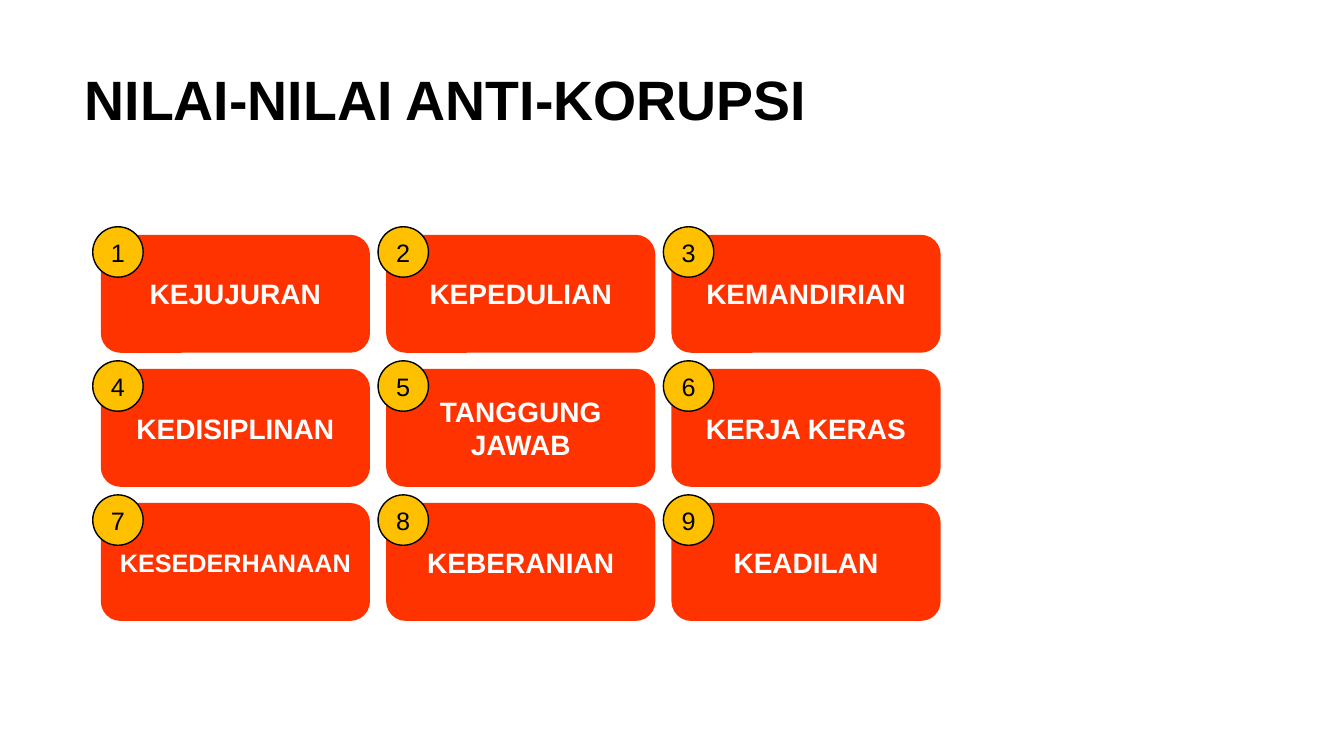
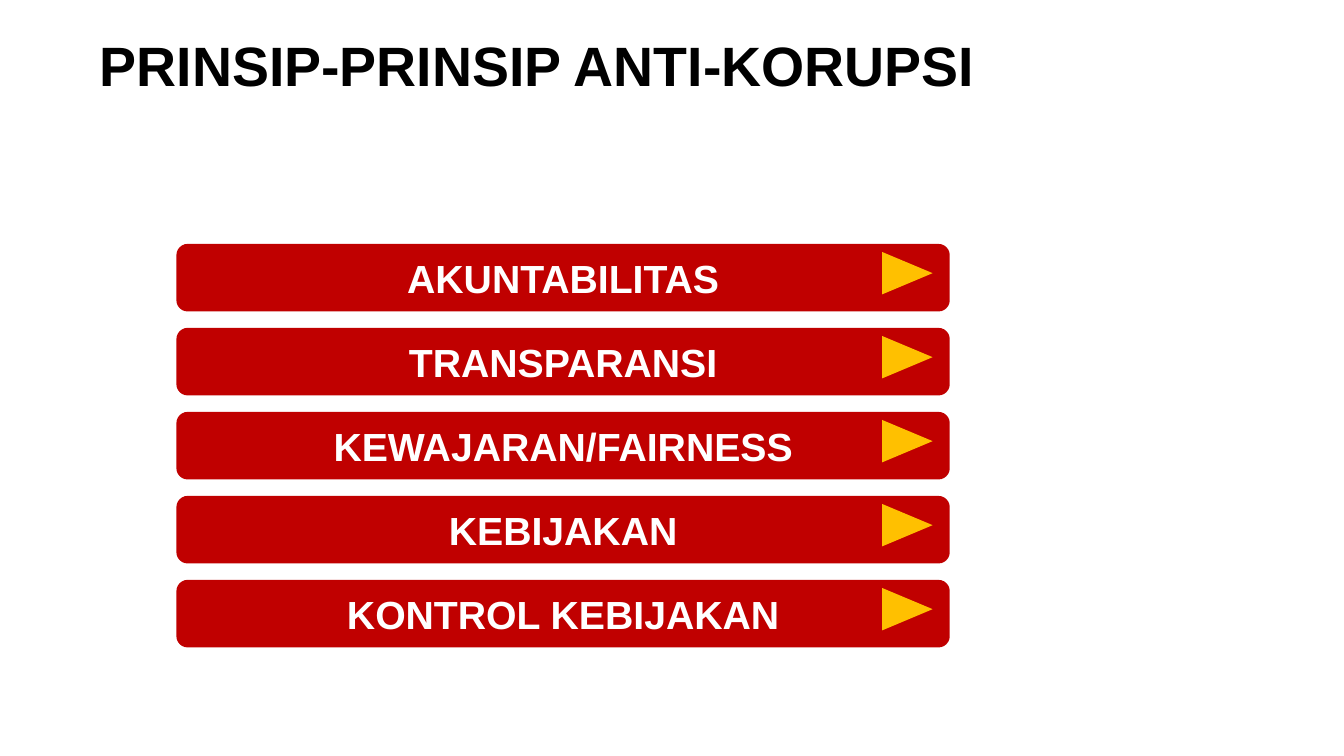
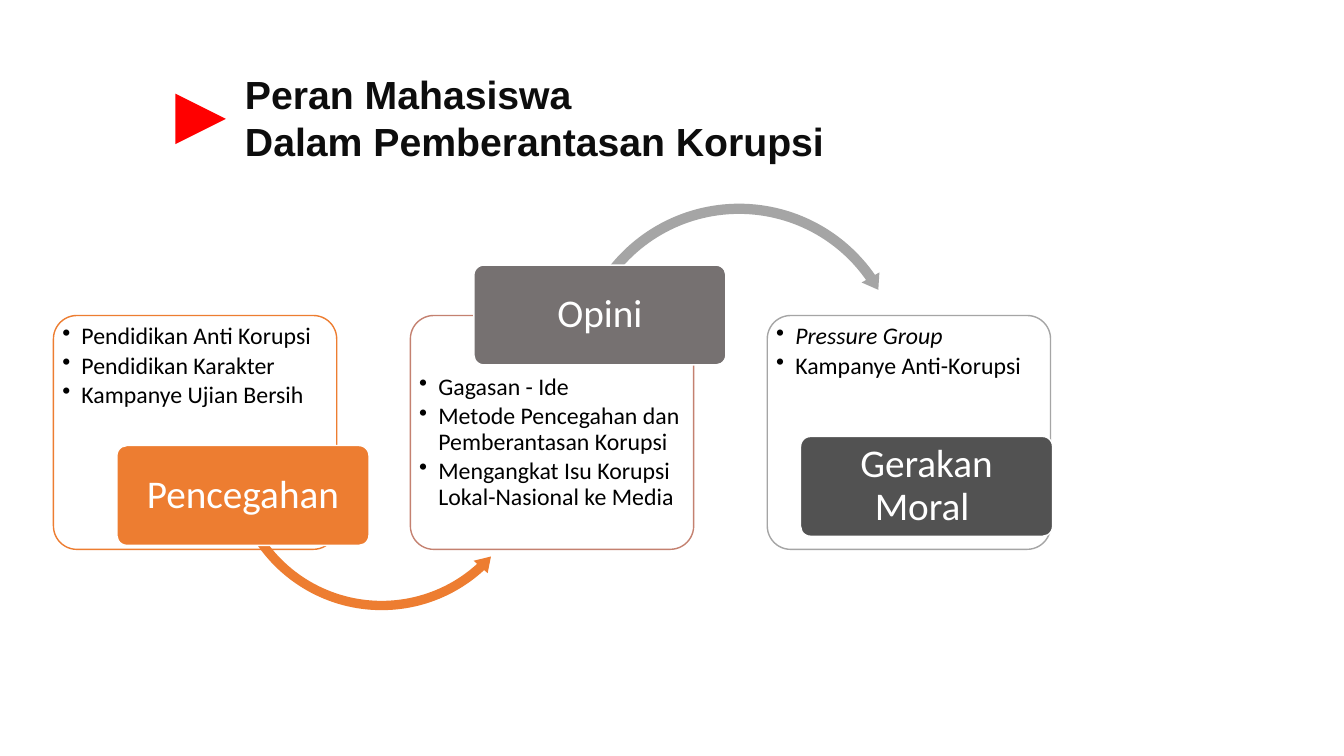
"""Build three slides on anti-corruption values, principles and student roles."""
from dataclasses import dataclass
from typing import Optional

from lxml.etree import SubElement
from pptx import Presentation
from pptx.dml.color import RGBColor
from pptx.enum.shapes import MSO_SHAPE
from pptx.enum.text import MSO_ANCHOR, MSO_AUTO_SIZE, PP_ALIGN
from pptx.oxml.ns import qn
from pptx.shapes.autoshape import Shape
from pptx.slide import Slide
from pptx.util import Inches, Pt

WHITE = RGBColor(0xFF, 0xFF, 0xFF)
BLACK = RGBColor(0x00, 0x00, 0x00)
INK = RGBColor(0x0D, 0x0D, 0x0D)
RED = RGBColor(0xFF, 0x00, 0x00)
SCARLET = RGBColor(0xFF, 0x33, 0x00)
CRIMSON = RGBColor(0xC0, 0x00, 0x00)
GOLD = RGBColor(0xFF, 0xC0, 0x00)
ORANGE = RGBColor(0xED, 0x7D, 0x31)
CLAY = RGBColor(0xC4, 0x81, 0x70)
SILVER = RGBColor(0xA5, 0xA5, 0xA5)
GRAY = RGBColor(0x76, 0x71, 0x71)
CHARCOAL = RGBColor(0x52, 0x52, 0x52)


@dataclass(frozen=True)
class Frame:
    left: float
    top: float
    width: float
    height: float


@dataclass(frozen=True)
class TextStyle:
    size: float
    color: RGBColor
    name: str = "Arial"
    bold: bool = False
    spacing: float = 1.0


@dataclass(frozen=True)
class Bullet:
    text: str
    italic: bool = False


@dataclass(frozen=True)
class Arrow:
    kind: MSO_SHAPE
    frame: Frame
    adjustments: tuple[float, ...]
    color: RGBColor


@dataclass(frozen=True)
class Role:
    name: str
    left: float
    border: RGBColor
    bullets: tuple[Bullet, ...]
    bullet_inset: float
    label_left: float
    label_top: float
    label_color: RGBColor
    arrow: Optional[Arrow] = None


TITLE = TextStyle(39.6, BLACK, bold=True, spacing=0.9)
ROLE_TITLE = TextStyle(28, INK, bold=True)
VALUE = TextStyle(20, WHITE, bold=True)
LONG_VALUE = TextStyle(18, WHITE, bold=True)
BADGE = TextStyle(18, BLACK)
PRINCIPLE = TextStyle(28, WHITE, bold=True)
ROLE_LABEL = TextStyle(28, WHITE, "Calibri", spacing=0.9)
ROLE_BULLET = TextStyle(17, BLACK, "Calibri", spacing=0.9)

VALUES = (
    "KEJUJURAN", "KEPEDULIAN", "KEMANDIRIAN",
    "KEDISIPLINAN", "TANGGUNG JAWAB", "KERJA KERAS",
    "KESEDERHANAAN", "KEBERANIAN", "KEADILAN",
)
PRINCIPLES = (
    "AKUNTABILITAS", "TRANSPARANSI", "KEWAJARAN/FAIRNESS",
    "KEBIJAKAN", "KONTROL KEBIJAKAN",
)
ROLES = (
    Role(
        "Pencegahan", 0.53, ORANGE,
        (Bullet("Pendidikan Anti Korupsi"), Bullet("Pendidikan Karakter"),
         Bullet("Kampanye Ujian Bersih")),
        0.02, 1.16, 4.42, ORANGE,
        Arrow(MSO_SHAPE.LEFT_CIRCULAR_ARROW, Frame(2.24, 3.01, 3.09, 3.09),
              (0.03, 3.46, 28.47, 97.5, 0.03), ORANGE),
    ),
    Role(
        "Opini", 4.07, CLAY,
        (Bullet("Gagasan - Ide"),
         Bullet("Metode Pencegahan dan Pemberantasan Korupsi"),
         Bullet("Mengangkat Isu Korupsi Lokal-Nasional ke Media")),
        0.52, 4.7, 2.63, GRAY,
        Arrow(MSO_SHAPE.CIRCULAR_ARROW, Frame(5.64, 1.97, 3.38, 3.38),
              (0.03, 3.14, 195.1, 125.76, 0.03), SILVER),
    ),
    Role(
        "Gerakan Moral ", 7.61, SILVER,
        (Bullet("Pressure Group", italic=True), Bullet("Kampanye Anti-Korupsi")),
        0.02, 7.94, 4.33, CHARCOAL,
    ),
)


def style_paragraph(paragraph, style: TextStyle, align: PP_ALIGN) -> None:
    """Apply a text style and alignment to a paragraph."""
    paragraph.alignment = align
    paragraph.line_spacing = style.spacing
    paragraph.font.name = style.name
    paragraph.font.size = Pt(style.size)
    paragraph.font.bold = style.bold
    paragraph.font.color.rgb = style.color


def place(shape: Shape, frame: Frame) -> None:
    """Move and size a shape."""
    shape.left, shape.top = Inches(frame.left), Inches(frame.top)
    shape.width, shape.height = Inches(frame.width), Inches(frame.height)


def add_titled_slide(deck, text: str, frame: Frame, style: TextStyle = TITLE) -> Slide:
    """Add a title-only slide with its title formatted."""
    page = deck.slides.add_slide(deck.slide_layouts[5])
    title = page.shapes.title
    place(title, frame)
    text_frame = title.text_frame
    text_frame.text = text
    text_frame.word_wrap = True
    text_frame.auto_size = MSO_AUTO_SIZE.NONE
    text_frame.vertical_anchor = MSO_ANCHOR.MIDDLE
    style_paragraph(text_frame.paragraphs[0], style, PP_ALIGN.LEFT)
    return page


def add_shape(page: Slide, kind: MSO_SHAPE, frame: Frame, fill: RGBColor,
              line: Optional[RGBColor] = None) -> Shape:
    """Add a flat filled shape with an optional thin outline."""
    shape = page.shapes.add_shape(kind, Inches(frame.left), Inches(frame.top),
                                  Inches(frame.width), Inches(frame.height))
    shape.shadow.inherit = False
    shape.fill.solid()
    shape.fill.fore_color.rgb = fill
    if line is None:
        shape.line.fill.background()
    else:
        shape.line.color.rgb = line
        shape.line.width = Pt(1)
    return shape


def write_centred(shape: Shape, text: str, style: TextStyle) -> None:
    """Write one centred paragraph in a shape."""
    text_frame = shape.text_frame
    text_frame.word_wrap = True
    text_frame.vertical_anchor = MSO_ANCHOR.MIDDLE
    text_frame.text = text
    style_paragraph(text_frame.paragraphs[0], style, PP_ALIGN.CENTER)


def add_pointer(page: Slide, frame: Frame, color: RGBColor) -> None:
    """Add a triangle that points right."""
    add_shape(page, MSO_SHAPE.ISOSCELES_TRIANGLE, frame, color).rotation = 90


def write_bullets(shape: Shape, bullets: tuple[Bullet, ...], top_inset: float) -> None:
    """Write a bulleted list from the top of a shape."""
    text_frame = shape.text_frame
    text_frame.word_wrap = True
    text_frame.vertical_anchor = MSO_ANCHOR.TOP
    text_frame.margin_left = text_frame.margin_right = Inches(0.02)
    text_frame.margin_top = Inches(top_inset)
    text_frame.margin_bottom = Inches(0.02)
    for index, bullet in enumerate(bullets):
        paragraph = text_frame.add_paragraph() if index else text_frame.paragraphs[0]
        paragraph.text = bullet.text
        properties = paragraph._p.get_or_add_pPr()
        properties.set("marL", str(Inches(0.19)))
        properties.set("indent", str(-Inches(0.19)))
        SubElement(properties, qn("a:buChar")).set("char", "•")
        style_paragraph(paragraph, ROLE_BULLET, PP_ALIGN.LEFT)
        paragraph.space_after = Pt(2.5)
        paragraph.font.italic = bullet.italic


def add_role(page: Slide, role: Role) -> None:
    """Draw a role panel with its bullets, arrow and label."""
    panel = add_shape(page, MSO_SHAPE.ROUNDED_RECTANGLE,
                      Frame(role.left, 3.13, 2.81, 2.32), WHITE, role.border)
    panel.adjustments[0] = 0.1
    write_bullets(panel, role.bullets, role.bullet_inset)
    if role.arrow:
        arrow = add_shape(page, role.arrow.kind, role.arrow.frame, role.arrow.color)
        for index, value in enumerate(role.arrow.adjustments):
            arrow.adjustments[index] = value
    label = add_shape(page, MSO_SHAPE.ROUNDED_RECTANGLE,
                      Frame(role.label_left, role.label_top, 2.5, 0.99),
                      role.label_color, WHITE)
    label.adjustments[0] = 0.1
    write_centred(label, role.name, ROLE_LABEL)


def build_values(deck) -> None:
    """Build the grid of numbered values."""
    page = add_titled_slide(deck, "NILAI-NILAI ANTI-KORUPSI", Frame(0.74, 0.67, 9.4, 0.7))
    for index, value in enumerate(VALUES):
        row, column = divmod(index, 3)
        left, top = 1 + 2.83 * column, 2.33 + 1.33 * row
        tile = add_shape(page, MSO_SHAPE.ROUNDED_RECTANGLE,
                         Frame(left, top, 2.67, 1.17), SCARLET)
        write_centred(tile, value, LONG_VALUE if len(value) == 13 else VALUE)
        badge = add_shape(page, MSO_SHAPE.OVAL,
                          Frame(left - 0.08, top - 0.08, 0.5, 0.5), GOLD, BLACK)
        write_centred(badge, str(index + 1), BADGE)


def build_principles(deck) -> None:
    """Build the stack of principle bars."""
    page = add_titled_slide(deck, "PRINSIP-PRINSIP ANTI-KORUPSI", Frame(0.89, 0.33, 9.4, 0.7))
    for index, principle in enumerate(PRINCIPLES):
        top = 2.42 + index * 5 / 6
        bar = add_shape(page, MSO_SHAPE.ROUNDED_RECTANGLE,
                        Frame(1.75, top, 7.67, 0.67), CRIMSON)
        write_centred(bar, principle, PRINCIPLE)
        add_pointer(page, Frame(8.79, top + 0.04, 0.42, 0.5), GOLD)


def build_roles(deck) -> None:
    """Build the flow of student roles."""
    page = add_titled_slide(deck, "Peran Mahasiswa\vDalam Pemberantasan Korupsi",
                            Frame(2.33, 0.64, 6.67, 1.04), ROLE_TITLE)
    add_pointer(page, Frame(1.74, 0.93, 0.5, 0.5), RED)
    for role in ROLES:
        add_role(page, role)


def main() -> None:
    """Build and save the deck."""
    deck = Presentation()
    deck.slide_width, deck.slide_height = Inches(13.33), Inches(7.5)
    build_values(deck)
    build_principles(deck)
    build_roles(deck)
    deck.save("out.pptx")


if __name__ == "__main__":
    main()
